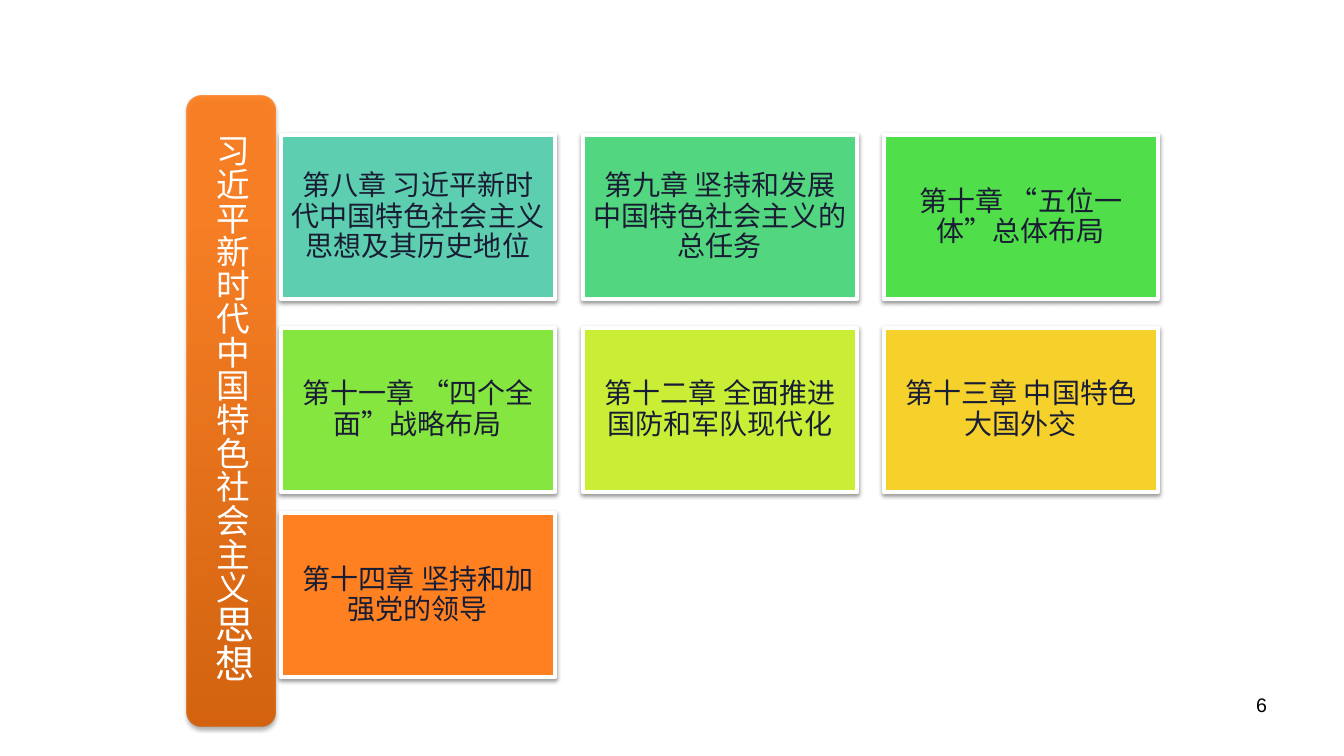
from lxml import etree
from pptx import Presentation
from pptx import util as u
from pptx.dml.color import RGBColor
from pptx.enum import shapes, text
from pptx.oxml.ns import qn

EMU_PER_PX = 914400 / 100.8
SLIDE_SIZE = (1344, 756)
CJK = "Noto Sans CJK SC"
INK, WHITE, BLACK = "191D34", "FFFFFF", "000000"

BANNER_BOX = (187, 96, 88, 631)
BANNER_INSETS = (22, 34, 22, 34)
BANNER_RUNS = [("习近平新时代中国特色社会主义", 24), ("思想", 28)]
BANNER_STOPS = [(0, "D75C00"), (80, "FF7B18"), (100, "FF7C19")]

COLUMN_LEFTS = (281, 583, 884)
ROW_TOPS = (135, 328, 513)
CARD_SIZE = (274, 164)
CARD_INSETS = (8, 8, 8, 8)
CHAPTERS = [
    ("第八章 习近平新时代中国特色社会主义思想及其历史地位", "5DCEAF"),
    ("第九章 坚持和发展中国特色社会主义的总任务", "53D680"),
    ("第十章 “五位一体”总体布局", "50DE4A"),
    ("第十一章 “四个全面”战略布局", "86E640"),
    ("第十二章 全面推进国防和军队现代化", "CAEE36"),
    ("第十三章 中国特色大国外交", "F6D02B"),
    ("第十四章 坚持和加强党的领导", "FF8021"),
]

PAGE_NUMBER = "6"
PAGE_NUMBER_BOX = (964, 688, 313, 52)


def px(value):
    return u.Emu(round(value * EMU_PER_PX))


def rgb(color):
    return RGBColor.from_string(color)


def add_color(parent, color, alpha):
    element = etree.SubElement(parent, qn("a:srgbClr"), val=color)
    etree.SubElement(element, qn("a:alpha"), val=str(alpha * 1000))


def add_shadow(shape, alpha, distance):
    """Cast a soft black shadow straight down; distance is in points."""
    shape.shadow.inherit = False
    effects = shape._element.spPr.find(qn("a:effectLst"))
    shadow = etree.SubElement(
        effects, qn("a:outerShdw"), blurRad=str(u.Pt(3.1)),
        dist=str(u.Pt(distance)), dir="5400000", rotWithShape="0")
    add_color(shadow, BLACK, alpha)


def fill_gradient(shape, stops):
    """Fill from bottom to top with (percent, color) stops."""
    shape.fill.gradient()
    shape.fill.gradient_angle = 90
    stop_list = shape._element.spPr.find(qn("a:gradFill")).find(qn("a:gsLst"))
    for stop in list(stop_list):
        stop_list.remove(stop)
    for percent, color in stops:
        stop = etree.SubElement(stop_list, qn("a:gs"), pos=str(percent * 1000))
        add_color(stop, color, 90)


def set_text(shape, runs, color, insets):
    """Write centred runs, given as (text, size) pairs, in the CJK font."""
    frame = shape.text_frame
    frame.word_wrap = True
    frame.vertical_anchor = text.MSO_ANCHOR.MIDDLE
    (frame.margin_left, frame.margin_top,
     frame.margin_right, frame.margin_bottom) = map(px, insets)
    paragraph = frame.paragraphs[0]
    paragraph.alignment = text.PP_ALIGN.CENTER
    paragraph.line_spacing = 0.9
    for content, size in runs:
        run = paragraph.add_run()
        run.text = content
        run.font.size = u.Pt(size)
        run.font.name = CJK
        run.font.color.rgb = rgb(color)
        etree.SubElement(run.font._element, qn("a:ea"), typeface=CJK)


def add_card(slide, left, top, title, color):
    card = slide.shapes.add_shape(
        shapes.MSO_SHAPE.RECTANGLE, *map(px, (left, top, *CARD_SIZE)))
    card.fill.solid()
    card.fill.fore_color.rgb = rgb(color)
    card.line.color.rgb = rgb(WHITE)
    card.line.width = u.Pt(3)
    add_shadow(card, 38, 1.6)
    set_text(card, [(title, 20)], INK, CARD_INSETS)


def add_banner(slide):
    banner = slide.shapes.add_shape(
        shapes.MSO_SHAPE.ROUNDED_RECTANGLE, *map(px, BANNER_BOX))
    fill_gradient(banner, BANNER_STOPS)
    banner.line.fill.background()
    add_shadow(banner, 35, 1.8)
    set_text(banner, BANNER_RUNS, WHITE, BANNER_INSETS)
    banner.text_frame._txBody.bodyPr.set("vert", "eaVert")


def add_page_number(slide):
    box = slide.shapes.add_textbox(*map(px, PAGE_NUMBER_BOX))
    box.text_frame.word_wrap = True
    paragraph = box.text_frame.paragraphs[0]
    paragraph.text = PAGE_NUMBER
    paragraph.alignment = text.PP_ALIGN.RIGHT
    font = paragraph.runs[0].font
    font.size = u.Pt(14)
    font.name = "Arial"
    font.color.rgb = rgb(BLACK)


def main():
    presentation = Presentation()
    presentation.slide_width, presentation.slide_height = map(px, SLIDE_SIZE)
    slide = presentation.slides.add_slide(presentation.slide_layouts[6])
    for index, (title, color) in enumerate(CHAPTERS):
        row, column = divmod(index, len(COLUMN_LEFTS))
        add_card(slide, COLUMN_LEFTS[column], ROW_TOPS[row], title, color)
    add_banner(slide)
    add_page_number(slide)
    presentation.save("out.pptx")


if __name__ == "__main__":
    main()
